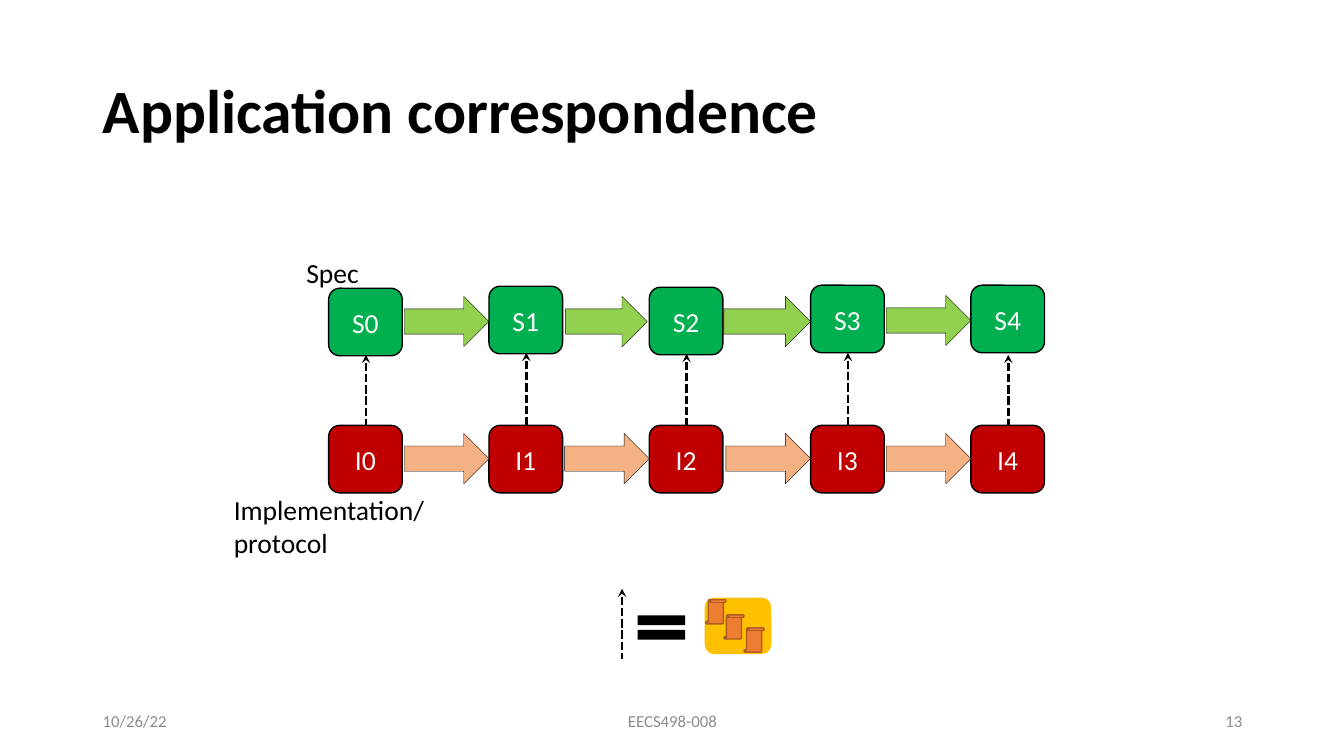
from pptx import Presentation
from pptx.dml.color import RGBColor as RGB
from pptx.enum.dml import MSO_LINE
from pptx.enum.shapes import MSO_CONNECTOR, MSO_SHAPE as SHAPE
from pptx.enum.text import MSO_ANCHOR as ANCHOR, PP_ALIGN as ALIGN
from pptx.oxml.ns import qn
from pptx.util import Emu, Pt
from lxml.etree import SubElement

PX = 9144  # 100 px to the inch


class Theme:
    font = "Calibri"
    black = RGB(0x00, 0x00, 0x00)
    light = RGB(0xFA, 0xFA, 0xFA)
    gray = RGB(0x8C, 0x8C, 0x8C)
    green = RGB(0x00, 0xB0, 0x50)
    lime = RGB(0x92, 0xD0, 0x50)
    red = RGB(0xC0, 0x00, 0x00)
    peach = RGB(0xF4, 0xB1, 0x83)
    gold = RGB(0xFF, 0xC0, 0x00)
    orange = RGB(0xED, 0x7D, 0x31)
    brown = RGB(0xAF, 0x5C, 0x24)
    title_size, label_size, footer_size = Pt(44), Pt(19.7), Pt(12)


def write(frame, text, size, color, align=ALIGN.LEFT, anchor=ANCHOR.MIDDLE):
    frame.text = text
    frame.word_wrap = True
    frame.vertical_anchor = anchor
    line = frame.paragraphs[0]
    line.alignment = align
    for run in line.runs:
        run.font.name, run.font.size, run.font.color.rgb = Theme.font, size, color


def add_figure(kind, box, fill, outline=None, weight=1):
    figure = slide.shapes.add_shape(kind, *[Emu(v * PX) for v in box])
    figure.shadow.inherit = False
    figure.fill.solid()
    figure.fill.fore_color.rgb = fill
    if outline is None:
        figure.line.fill.background()
    else:
        figure.line.color.rgb = outline
        figure.line.width = Pt(weight)
    return figure


deck = Presentation()
deck.slide_width, deck.slide_height = Emu(1333 * PX), Emu(750 * PX)
slide = deck.slides.add_slide(deck.slide_layouts[5])

# Title
title = slide.shapes.title
title.left, title.top, title.width, title.height = [Emu(v * PX) for v in (92, 40, 1150, 145)]
write(title.text_frame, "Application correspondence", Theme.title_size, Theme.black)
title.text_frame.paragraphs[0].line_spacing = 0.9
title.text_frame.paragraphs[0].font.bold = True
title.text_frame.paragraphs[0].runs[0].font.bold = True

# Row labels and footer
texts = [
    ("Spec", (294, 249, 80, 43), Theme.label_size, Theme.black, ALIGN.LEFT, ANCHOR.TOP),
    ("Implementation/\vprotocol", (222, 484, 301, 76), Theme.label_size, Theme.black,
     ALIGN.LEFT, ANCHOR.TOP),
    ("10/26/22", (92, 695, 300, 40), Theme.footer_size, Theme.gray, ALIGN.LEFT, ANCHOR.MIDDLE),
    ("EECS498-008", (442, 695, 450, 40), Theme.footer_size, Theme.gray,
     ALIGN.CENTER, ANCHOR.MIDDLE),
    ("13", (942, 695, 300, 40), Theme.footer_size, Theme.gray, ALIGN.RIGHT, ANCHOR.MIDDLE),
]
for text, box, size, color, align, anchor in texts:
    label = slide.shapes.add_textbox(*[Emu(v * PX) for v in box])
    write(label.text_frame, text, size, color, align, anchor)

# State rows: boxes, then the step arrows (left, middle, length) between them
state_lefts = [round(326 + 159.25 * i) for i in range(5)]
spec_steps = [(401, 319, 84), (561, 319, 81), (718, 319, 86), (879, 318, 84)]
protocol_steps = [(round(401 + 159.4 * i), 455, 84) for i in range(4)]
rows = [
    ("S", Theme.green, Theme.lime, (286, 284, 285, 283, 283), spec_steps),
    ("I", Theme.red, Theme.peach, (422,) * 5, protocol_steps),
]
for prefix, state_fill, step_fill, tops, steps in rows:
    for i, (left, top) in enumerate(zip(state_lefts, tops)):
        state = add_figure(SHAPE.ROUNDED_RECTANGLE, (left, top, 73, 67), state_fill, Theme.black)
        state.text_frame.margin_left = state.text_frame.margin_right = 0
        write(state.text_frame, f"{prefix}{i}", Theme.label_size, Theme.light, ALIGN.CENTER)
    for left, middle, length in steps:
        add_figure(SHAPE.RIGHT_ARROW, (left, middle - 25, length, 50), step_fill,
                   Theme.black, 0.25)

# Legend: proof scrolls on a tile, after an equals sign
add_figure(SHAPE.ROUNDED_RECTANGLE, (699, 593, 66, 56), Theme.gold)
for left, top in [(700, 595), (718, 610), (738, 623)]:
    add_figure(SHAPE.VERTICAL_SCROLL, (left, top, 20, 24), Theme.orange, Theme.brown)
add_figure(SHAPE.MATH_EQUAL, (624, 602, 64, 41), Theme.black)

# Dashed correspondence arrows, the last one for the legend
link_tops = (352, 350, 351, 350, 352)
links = [(left + 37, top, 423) for left, top in zip(state_lefts, link_tops)]
for x, top, bottom in links + [(617, 584, 654)]:
    link = slide.shapes.add_connector(
        MSO_CONNECTOR.STRAIGHT, *[Emu(v * PX) for v in (x, top, x, bottom)])
    link.line.color.rgb = Theme.black
    link.line.width = Pt(2)
    link.line.dash_style = MSO_LINE.SQUARE_DOT
    SubElement(link.line._get_or_add_ln(), qn("a:headEnd"), type="stealth")
    SubElement(link._element.spPr, qn("a:effectLst"))

deck.save("out.pptx")
